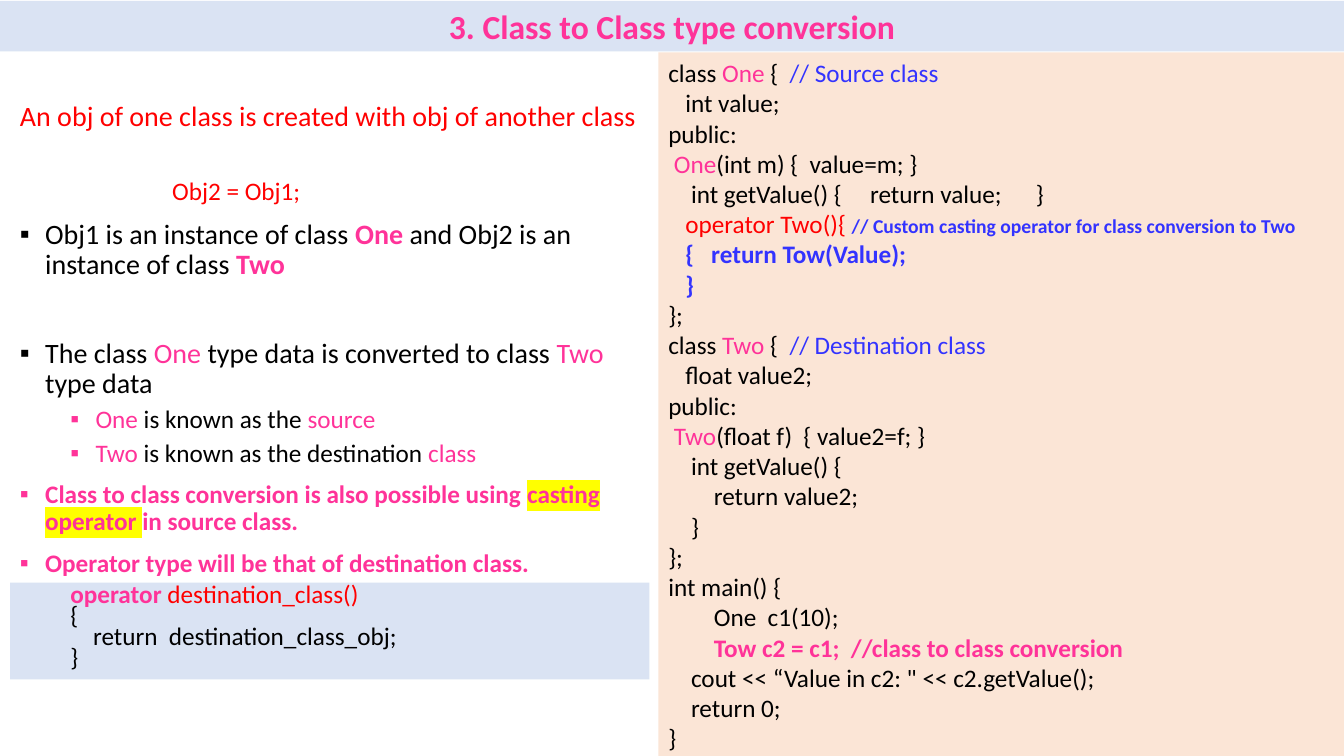
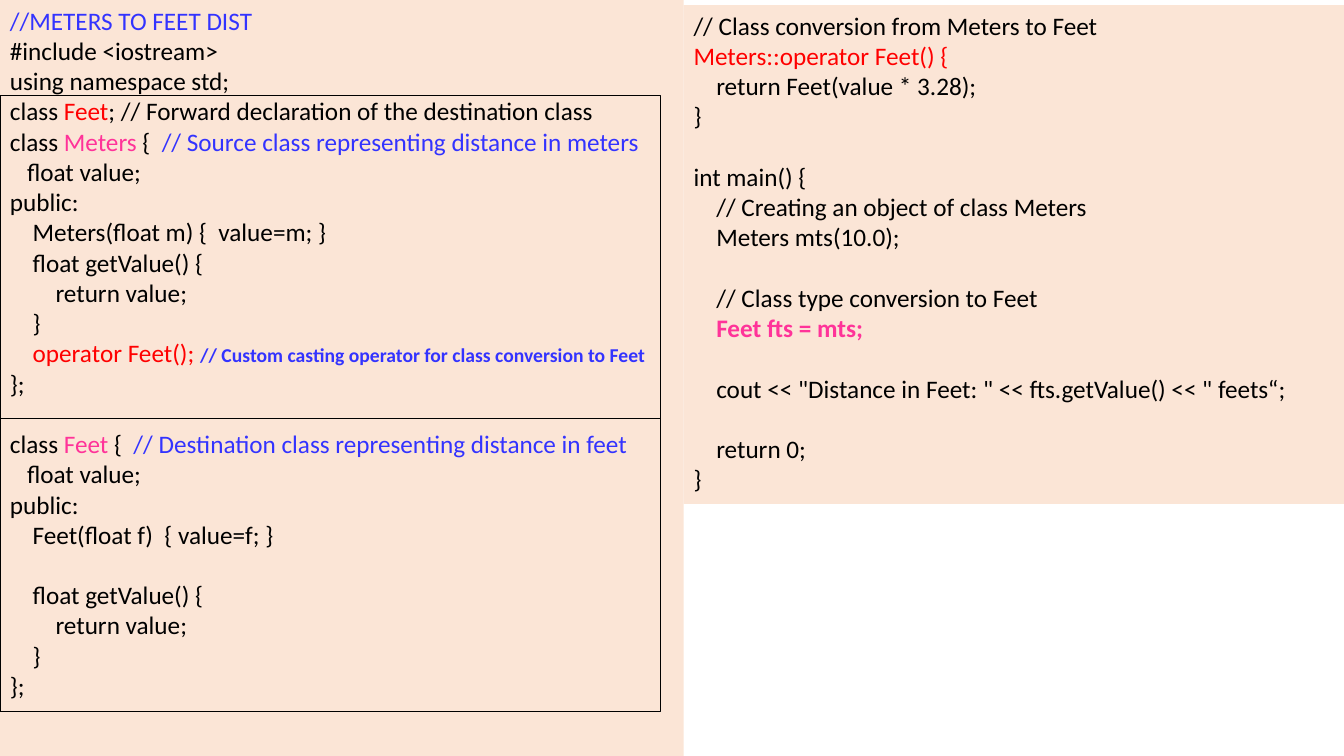
from dataclasses import dataclass

from lxml import etree
from pptx import Presentation
from pptx.dml.color import RGBColor
from pptx.enum.shapes import MSO_SHAPE
from pptx.enum.text import MSO_ANCHOR, MSO_AUTO_SIZE, PP_ALIGN
from pptx.oxml.ns import qn
from pptx.util import Inches, Pt

RECTANGLE = MSO_SHAPE.RECTANGLE
CENTER = PP_ALIGN.CENTER
TOP, MIDDLE = MSO_ANCHOR.TOP, MSO_ANCHOR.MIDDLE
NO_AUTOFIT = MSO_AUTO_SIZE.NONE
TITLE_ONLY, BLANK = 5, 6


@dataclass(frozen=True)
class Theme:
    font: str = "Calibri"
    ink: str = "000000"
    pink: str = "FF3399"
    red: str = "FF0000"
    blue: str = "3333FF"
    band: str = "DAE3F3"
    panel: str = "FBE5D6"
    marker: str = "FFFF00"
    title: float = 24
    lead: float = 20
    text: float = 18
    note: float = 14
    column: float = 4.07
    blank_line: float = 21.6


THEME = Theme()


@dataclass(frozen=True)
class Style:
    color: str = THEME.ink
    size: float = THEME.text
    bold: bool = False
    marker: str = ""


@dataclass(frozen=True)
class Span:
    text: str
    style: Style = Style()


@dataclass(frozen=True)
class Line:
    spans: tuple
    left: int = 0
    before: float = 0
    bullet: bool = False
    spacing: object = None


def styled(**options):
    style = Style(**options)
    return lambda text: Span(text, style)


plain = styled()
pink = styled(color=THEME.pink)
pink_bold = styled(color=THEME.pink, bold=True)
marked = styled(color=THEME.pink, bold=True, marker=THEME.marker)
red = styled(color=THEME.red)
blue = styled(color=THEME.blue)
blue_bold = styled(color=THEME.blue, bold=True)
note = styled(color=THEME.blue, size=THEME.note, bold=True)
lead = styled(size=THEME.lead)
lead_red = styled(color=THEME.red, size=THEME.lead)
lead_pink = styled(color=THEME.pink, size=THEME.lead)
lead_pink_bold = styled(color=THEME.pink, size=THEME.lead, bold=True)


def to_spans(parts):
    return tuple(plain(part) if isinstance(part, str) else part for part in parts)


def code(columns, *parts, gap=False, left=0, spacing=None):
    return Line(to_spans(parts), left + Pt(THEME.column * columns),
                THEME.blank_line if gap else 0, spacing=spacing)


def bullet(*parts, left=0.25, before=10):
    return Line(to_spans(parts), Inches(left), before, True, 0.9)


class SlideWriter:
    def __init__(self, deck, theme):
        self.deck = deck
        self.theme = theme
        self.page = None

    def new_page(self, layout):
        self.page = self.deck.slides.add_slide(self.deck.slide_layouts[layout])

    def fill(self, shape, color):
        shape.fill.solid()
        shape.fill.fore_color.rgb = RGBColor.from_string(color)

    def place(self, shape, left, top, width, height):
        shape.left, shape.top = Inches(left), Inches(top)
        shape.width, shape.height = Inches(width), Inches(height)

    def format_font(self, font, style):
        font.size = Pt(style.size)
        font.bold = style.bold
        font.color.rgb = RGBColor.from_string(style.color)

    def title(self, text):
        band = self.page.shapes.title
        self.place(band, 0, 0.01, 13.33, 0.5)
        self.fill(band, self.theme.band)
        frame = band.text_frame
        frame.auto_size = NO_AUTOFIT
        frame.vertical_anchor = MIDDLE
        style = Style(self.theme.pink, self.theme.title, True)
        self.write_line(frame.paragraphs[0], Line((Span(text, style),)))
        frame.paragraphs[0].alignment = CENTER

    def text(self, left, top, width, height, lines, fill=None, inset=0.05):
        box = self.page.shapes.add_textbox(
            Inches(left), Inches(top), Inches(width), Inches(height))
        if fill:
            self.fill(box, fill)
        frame = box.text_frame
        frame.word_wrap = True
        frame.vertical_anchor = TOP
        frame.margin_top = Inches(inset)
        for index, line in enumerate(lines):
            para = frame.add_paragraph() if index else frame.paragraphs[0]
            self.write_line(para, line)

    def write_line(self, para, line):
        para.space_before = Pt(line.before)
        if line.spacing:
            para.line_spacing = line.spacing
        properties = para._p.get_or_add_pPr()
        properties.set("marL", str(int(line.left)))
        properties.set("indent", str(-Inches(0.25) if line.bullet else 0))
        if line.bullet:
            self.add_bullet(properties, line.spans[0].style.color)
        para.font.name = self.theme.font
        uniform = len({span.style for span in line.spans}) == 1
        if uniform:
            self.format_font(para.font, line.spans[0].style)
        for span in line.spans:
            run = para.add_run()
            run.text = span.text
            if not uniform:
                self.format_font(run.font, span.style)
            if span.style.marker:
                self.add_highlight(run, span.style.marker)

    def add_bullet(self, properties, color):
        tint = etree.SubElement(properties, qn("a:buClr"))
        etree.SubElement(tint, qn("a:srgbClr"), val=color)
        etree.SubElement(properties, qn("a:buFont"), typeface="Arial")
        etree.SubElement(properties, qn("a:buChar"), char="▪")

    def add_highlight(self, run, color):
        highlight = etree.SubElement(run._r.get_or_add_rPr(), qn("a:highlight"))
        etree.SubElement(highlight, qn("a:srgbClr"), val=color)

    def frame(self, left, top, width, height):
        outline = self.page.shapes.add_shape(
            RECTANGLE, Inches(left), Inches(top), Inches(width), Inches(height))
        outline.shadow.inherit = False
        outline.fill.background()
        outline.line.color.rgb = RGBColor.from_string(self.theme.ink)
        outline.line.width = Pt(0.75)


def operator_line(columns, text):
    return code(0, *text, left=Inches(0.5) + Pt(THEME.column * columns), spacing=Pt(15))


EXPLANATION = [
    Line((lead_red("An obj of one class is created with obj of another class"),),
         spacing=0.9),
    Line((red("Obj2 = Obj1;"),), Inches(1.51), 12 + THEME.blank_line, spacing=0.9),
    bullet(lead("Obj1 is an instance of class "), lead_pink_bold("One"),
           lead(" and Obj2 is an instance of class "), lead_pink_bold("Two")),
    bullet(lead("The class "), lead_pink("One"),
           lead(" type data is converted to class "), lead_pink("Two"),
           lead(" type data"), before=20 + THEME.blank_line),
    bullet(pink("One"), " is known as the ", pink("source"), left=0.75, before=5),
    bullet(pink("Two"), " is known as the destination ", pink("class"),
           left=0.75, before=5),
    bullet(pink_bold("Class to class conversion is also possible using "),
           marked("casting operator "), pink_bold("in source class.")),
    bullet(pink_bold("Operator type will be that of destination class.")),
]

OPERATOR_SYNTAX = [
    operator_line(0, (pink_bold("operator "), red("destination_class()"))),
    operator_line(0, ("{",)),
    operator_line(4, ("return  destination_class_obj;",)),
    operator_line(0, ("}",)),
]

ONE_TO_TWO = [
    code(0, "class ", pink("One"), " {  ", blue("// Source class")),
    code(3, "int value;"),
    code(0, "public:"),
    code(1, pink("One"), "(int m) {  value=m; }"),
    code(4, "int getValue() {     return value;      }"),
    code(3, red("operator Two(){ "),
         note("// Custom casting operator for class conversion to Two")),
    code(3, blue_bold("{   return Tow(Value);")),
    code(3, blue_bold("}")),
    code(0, "};"),
    code(0, "class ", pink("Two"), " {  ", blue("// Destination class")),
    code(3, "float value2;"),
    code(0, "public:"),
    code(1, pink("Two"), "(float f)  { value2=f; }"),
    code(4, "int getValue() {"),
    code(8, "return value2;"),
    code(4, "}"),
    code(0, "};"),
    code(0, "int main() {"),
    code(8, "One  c1(10);"),
    code(8, pink_bold("Tow c2 = c1;  //class to class conversion")),
    code(4, "cout << “Value in c2: \" << c2.getValue();"),
    code(4, "return 0;"),
    code(0, "}"),
]

GETTER = [
    code(4, "float getValue() {"),
    code(8, "return value;"),
    code(4, "}"),
]

METERS_AND_FEET = [
    code(0, blue("//METERS TO FEET DIST")),
    code(0, "#include <iostream>"),
    code(0, "using namespace std;"),
    code(0, "class ", red("Feet"), "; // Forward declaration of the destination class"),
    code(0, "class ", pink("Meters"), " {  ",
         blue("// Source class representing distance in meters")),
    code(3, "float value;"),
    code(0, "public:"),
    code(4, "Meters(float m) {  value=m; }"),
    *GETTER,
    code(4, red("operator Feet(); "),
         note("// Custom casting operator for class conversion to Feet")),
    code(0, "};"),
    code(0, "class ", pink("Feet"), " {  ",
         blue("// Destination class representing distance in feet"), gap=True),
    code(3, "float value;"),
    code(0, "public:"),
    code(4, "Feet(float f)  { value=f; }"),
    code(4, "float getValue() {", gap=True),
    *GETTER[1:],
    code(0, "};"),
]

CONVERSION = [
    code(0, "// Class conversion from Meters to Feet"),
    code(0, red("Meters::operator Feet() {")),
    code(4, "return Feet(value * 3.28);"),
    code(0, "}"),
    code(0, "int main() {", gap=True),
    code(4, "// Creating an object of class Meters"),
    code(4, "Meters mts(10.0);"),
    code(4, "// Class type conversion to Feet", gap=True),
    code(4, pink_bold("Feet fts = mts;")),
    code(4, "cout << \"Distance in Feet: \" << fts.getValue() << \" feets“;", gap=True),
    code(4, "return 0;", gap=True),
    code(0, "}"),
]


def main():
    deck = Presentation()
    deck.slide_width, deck.slide_height = Inches(13.33), Inches(7.5)
    writer = SlideWriter(deck, THEME)

    writer.new_page(TITLE_ONLY)
    writer.title("3. Class to Class type conversion")
    writer.text(0.1, 0.52, 6.34, 6.85, EXPLANATION, inset=0.49)
    writer.text(6.53, 0.52, 6.8, 7.07, ONE_TO_TWO, THEME.panel)
    writer.text(0.1, 5.78, 6.34, 0.96, OPERATOR_SYNTAX, THEME.band)

    writer.new_page(BLANK)
    writer.text(0, 0, 6.78, 7.61, METERS_AND_FEET, THEME.panel)
    writer.text(6.78, 0.05, 6.55, 4.95, CONVERSION, THEME.panel)
    writer.frame(0, 0.95, 6.55, 3.2)
    writer.frame(0, 4.15, 6.55, 2.91)

    deck.save("out.pptx")


if __name__ == "__main__":
    main()
